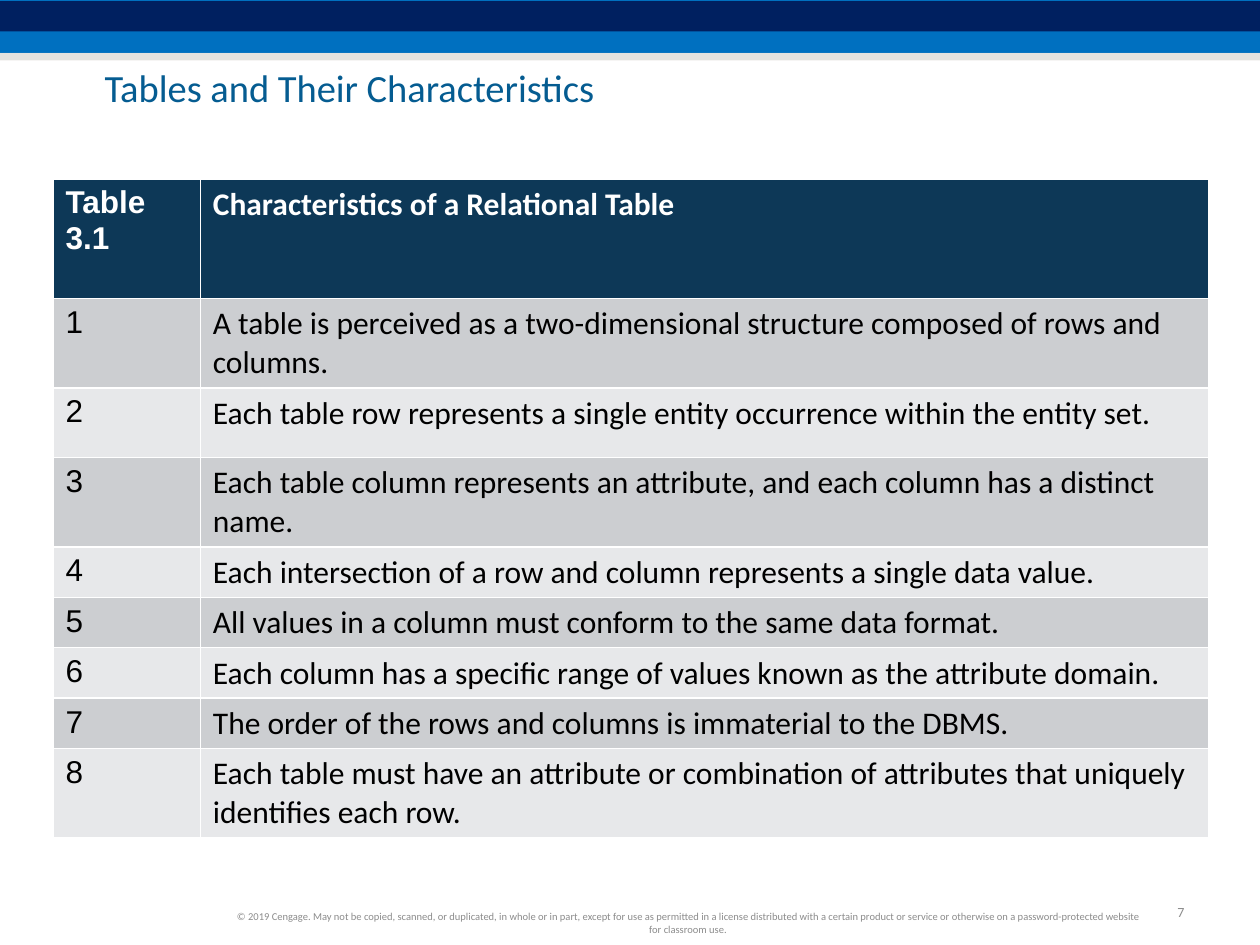
"""Build the slide on the characteristics of a relational table."""
from dataclasses import dataclass

from lxml import etree
from pptx import Presentation
from pptx.dml.color import RGBColor
from pptx.enum import shapes, text
from pptx.oxml import ns
from pptx.slide import Slide
from pptx.util import Inches, Pt

NAVY = RGBColor(0x00, 0x20, 0x60)
BLUE = RGBColor(0x00, 0x70, 0xC0)
SAND = RGBColor(0xCC, 0xC9, 0xC1)
TITLE_BLUE = RGBColor(0x05, 0x5C, 0x91)
HEADER_BLUE = RGBColor(0x0D, 0x38, 0x57)
DARK_ROW = RGBColor(0xCC, 0xCE, 0xD1)
LIGHT_ROW = RGBColor(0xE7, 0xE8, 0xEA)
GREY = RGBColor(0x8C, 0x8C, 0x8C)
WHITE = RGBColor(0xFF, 0xFF, 0xFF)
BLACK = RGBColor(0x00, 0x00, 0x00)


@dataclass(frozen=True)
class Band:
    top: float
    height: float
    color: RGBColor
    opacity: int = 100


@dataclass(frozen=True)
class Label:
    content: str
    left: float
    top: float
    width: float
    height: float
    size: float
    color: RGBColor
    alignment: text.PP_ALIGN
    margin_x: float = 0.1
    margin_y: float = 0.05
    line_spacing: float = 1.0
    wrap: bool = True


@dataclass(frozen=True)
class Row:
    number: str
    description: str
    height: float


BANDS = (
    Band(0, 0.42, BLUE),
    Band(0.01, 0.24, NAVY),
    Band(0.42, 0.06, SAND, 50),
)

LABELS = (
    Label("Tables and Their Characteristics", 0.83, 0.56, 8.78, 0.32, 22,
          TITLE_BLUE, text.PP_ALIGN.LEFT, 0, 0, 0.85),
    Label("© 2019 Cengage. May not be copied, scanned, or duplicated, in whole or in part, "
          "except for use as permitted in a license distributed with a certain product or "
          "service or otherwise on a password-protected website for classroom use.",
          1.75, 7.19, 7.42, 0.27, 6, GREY, text.PP_ALIGN.CENTER),
    Label("7", 9.16, 7.12, 0.34, 0.24, 8, GREY, text.PP_ALIGN.RIGHT, wrap=False),
)

ONE_LINE = 0.4
TWO_LINES = 0.71
ROWS = (
    Row("Table 3.1", "Characteristics of a Relational Table", 0.95),
    Row("1", "A table is perceived as a two-dimensional structure composed of rows "
        "and columns.", TWO_LINES),
    Row("2", "Each table row represents a single entity occurrence within the entity set.", 0.55),
    Row("3", "Each table column represents an attribute, and each column has a distinct "
        "name.", TWO_LINES),
    Row("4", "Each intersection of a row and column represents a single data value.", ONE_LINE),
    Row("5", "All values in a column must conform to the same data format.", ONE_LINE),
    Row("6", "Each column has a specific range of values known as the attribute domain.", ONE_LINE),
    Row("7", "The order of the rows and columns is immaterial to the DBMS.", ONE_LINE),
    Row("8", "Each table must have an attribute or combination of attributes that uniquely "
        "identifies each row.", TWO_LINES),
)
COLUMN_WIDTHS = (1.17, 8)
COLUMN_FONTS = ("Arial", "Calibri")


def format_runs(paragraph, name: str, size: float, color: RGBColor, bold: bool = False) -> None:
    for run in paragraph.runs:
        run.font.name = name
        run.font.size = Pt(size)
        run.font.bold = bold
        run.font.color.rgb = color


def draw_band(slide: Slide, band: Band) -> None:
    shape = slide.shapes.add_shape(shapes.MSO_SHAPE.RECTANGLE, 0, Inches(band.top),
                                   Inches(10), Inches(band.height))
    shape.shadow.inherit = False
    shape.line.fill.background()
    shape.fill.solid()
    shape.fill.fore_color.rgb = band.color
    if band.opacity < 100:
        color = shape.fill._xPr.find(".//" + ns.qn("a:srgbClr"))
        etree.SubElement(color, ns.qn("a:alpha"), val=str(band.opacity * 1000))


def draw_label(slide: Slide, label: Label) -> None:
    shape = slide.shapes.add_textbox(Inches(label.left), Inches(label.top),
                                     Inches(label.width), Inches(label.height))
    frame = shape.text_frame
    frame.word_wrap = label.wrap
    frame.vertical_anchor = text.MSO_ANCHOR.MIDDLE
    frame.margin_left = frame.margin_right = Inches(label.margin_x)
    frame.margin_top = frame.margin_bottom = Inches(label.margin_y)
    frame.text = label.content
    paragraph = frame.paragraphs[0]
    paragraph.alignment = label.alignment
    paragraph.line_spacing = label.line_spacing
    format_runs(paragraph, "Calibri", label.size, label.color)


def draw_table(slide: Slide, rows: tuple[Row, ...]) -> None:
    table = slide.shapes.add_table(
        len(rows), len(COLUMN_WIDTHS), Inches(0.42), Inches(1.42),
        Inches(sum(COLUMN_WIDTHS)), Inches(sum(row.height for row in rows))).table
    for column, width in zip(table.columns, COLUMN_WIDTHS):
        column.width = Inches(width)
    for index, row in enumerate(rows):
        table.rows[index].height = Inches(row.height)
        is_header = index == 0
        fill = HEADER_BLUE if is_header else DARK_ROW if index % 2 else LIGHT_ROW
        contents = (row.number, row.description)
        for cell, content, font in zip(table.rows[index].cells, contents, COLUMN_FONTS):
            cell.fill.solid()
            cell.fill.fore_color.rgb = fill
            cell.text_frame.text = content
            format_runs(cell.text_frame.paragraphs[0], font, 18,
                        WHITE if is_header else BLACK, is_header)


def main() -> None:
    presentation = Presentation()
    presentation.slide_width = Inches(10)
    presentation.slide_height = Inches(7.5)
    slide = presentation.slides.add_slide(presentation.slide_layouts[6])
    for band in BANDS:
        draw_band(slide, band)
    for label in LABELS:
        draw_label(slide, label)
    draw_table(slide, ROWS)
    presentation.save("out.pptx")


if __name__ == "__main__":
    main()
